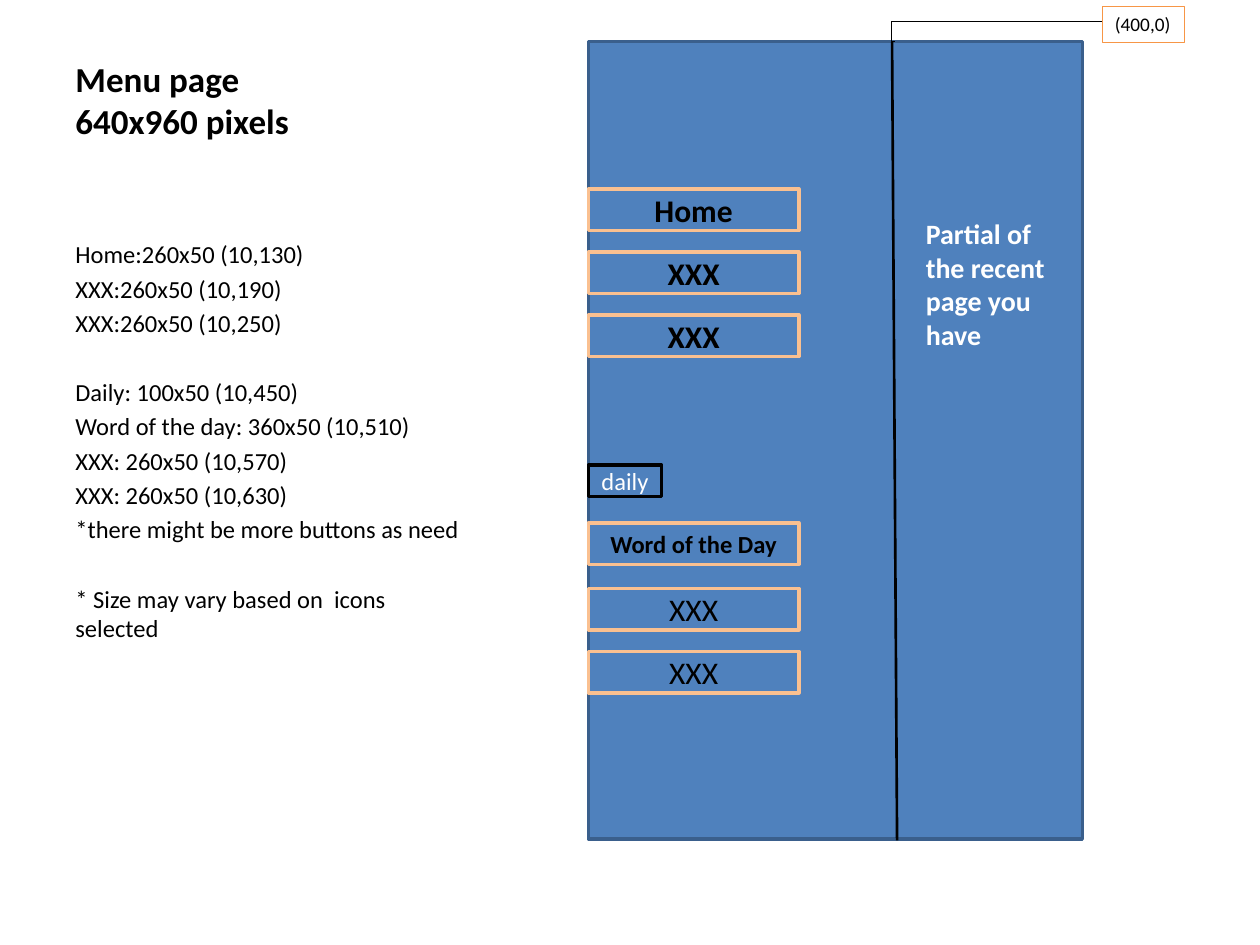
from lxml.etree import SubElement
from pptx import Presentation
from pptx.dml.color import RGBColor
from pptx.enum.shapes import MSO_CONNECTOR, MSO_SHAPE
from pptx.enum.text import MSO_ANCHOR, PP_ALIGN
from pptx.oxml.ns import qn
from pptx.util import Inches, Pt

BLACK, WHITE, BLUE, PEACH = "000000", "FFFFFF", "4F81BD", "FAC090"
PAGE_LEFT, PAGE_TOP, PAGE_WIDTH, PAGE_HEIGHT = 4.67, 0.33, 3.92, 6.33
BUTTON_SIZE, TAG_SIZE = (1.67, 0.33), (0.58, 0.25)
LINE_GAP, GROUP_GAP = 2.8, 22.7

TITLE = "Menu page\v640x960 pixels"
NOTE_GROUPS = [
    ["Home:260x50 (10,130)", "XXX:260x50 (10,190)", "XXX:260x50 (10,250)"],
    [
        "Daily: 100x50 (10,450)",
        "Word of the day: 360x50 (10,510)",
        "XXX: 260x50 (10,570)",
        "XXX: 260x50 (10,630)",
        "*there might be more buttons as need",
    ],
    ["* Size may vary based on  icons selected"],
]
BUTTONS = [
    ("Home", 1.5, BUTTON_SIZE, PEACH, 18, BLACK, True),
    ("XXX", 2, BUTTON_SIZE, PEACH, 18, BLACK, True),
    ("XXX", 2.5, BUTTON_SIZE, PEACH, 18, BLACK, True),
    ("Word of the Day", 4.15, BUTTON_SIZE, PEACH, 14, BLACK, True),
    ("daily", 3.69, TAG_SIZE, BLACK, 14, WHITE, False),
    ("XXX", 4.67, BUTTON_SIZE, PEACH, 18, BLACK, False),
    ("XXX", 5.17, BUTTON_SIZE, PEACH, 18, BLACK, False),
]

presentation = Presentation()
presentation.slide_width, presentation.slide_height = Inches(10), Inches(7.5)
slide = presentation.slides.add_slide(presentation.slide_layouts[6])


def color(value):
    return RGBColor.from_string(value)


def write(shape, text, size, font_color, bold=False, align=PP_ALIGN.LEFT,
          anchor=MSO_ANCHOR.TOP, wrap=True):
    frame = shape.text_frame
    frame.text = text
    frame.word_wrap = wrap
    frame.vertical_anchor = anchor
    for paragraph in frame.paragraphs:
        paragraph.alignment = align
        for run in paragraph.runs:
            run.font.name = "Calibri"
            run.font.size = Pt(size)
            run.font.bold = bold
            run.font.color.rgb = color(font_color)


def add_text(text, left, top, width, height, *style, **options):
    box = slide.shapes.add_textbox(*map(Inches, (left, top, width, height)))
    write(box, text, *style, **options)
    return box


def add_box(left, top, width, height, fill, line, line_width):
    shape = slide.shapes.add_shape(
        MSO_SHAPE.RECTANGLE, *map(Inches, (left, top, width, height)))
    shape.shadow.inherit = False
    if fill:
        shape.fill.solid()
        shape.fill.fore_color.rgb = color(fill)
    else:
        shape.fill.background()
    shape.line.color.rgb = color(line)
    shape.line.width = Pt(line_width)
    return shape


def add_line(kind, start, end, width):
    connector = slide.shapes.add_connector(kind, *map(Inches, start + end))
    connector.line.color.rgb = color(BLACK)
    connector.line.width = Pt(width)
    SubElement(connector._element.spPr, qn("a:effectLst"))
    return connector


add_text(TITLE, 0.5, 0.3, 3.29, 0.87, 20, BLACK, True, anchor=MSO_ANCHOR.BOTTOM)

notes = add_text("\n".join(line for group in NOTE_GROUPS for line in group),
                 0.5, 1.85, 3.29, 4.85, 14, BLACK)
gaps = [LINE_GAP if index else GROUP_GAP
        for group in NOTE_GROUPS for index in range(len(group))]
gaps[0] = 0
for paragraph, gap in zip(notes.text_frame.paragraphs, gaps):
    paragraph.space_before = Pt(gap)

add_box(PAGE_LEFT, PAGE_TOP, PAGE_WIDTH, PAGE_HEIGHT, BLUE, "3A5F8C", 2)
add_line(MSO_CONNECTOR.STRAIGHT, (7.08, 0.33), (7.12, 6.67), 1.5)

for text, top, (width, height), line, size, font_color, bold in BUTTONS:
    button = add_box(PAGE_LEFT, top, width, height, BLUE, line, 2)
    write(button, text, size, font_color, bold, PP_ALIGN.CENTER,
          MSO_ANCHOR.MIDDLE, wrap=False)

add_text("Partial of the recent page you have", 7.25, 1.67, 1.33, 1.18, 16, WHITE, True)

callout = add_line(MSO_CONNECTOR.ELBOW, (7.1, 0.33), (8.75, 0.17), 0.75)
adjustments = callout._element.spPr.find(qn("a:prstGeom")).get_or_add_avLst()
SubElement(adjustments, qn("a:gd"), name="adj1", fmla="val -1500")

label = add_box(8.75, 0.05, 0.65, 0.29, None, "F79646", 0.75)
write(label, "(400,0)", 11, BLACK, wrap=False)

presentation.save("out.pptx")
